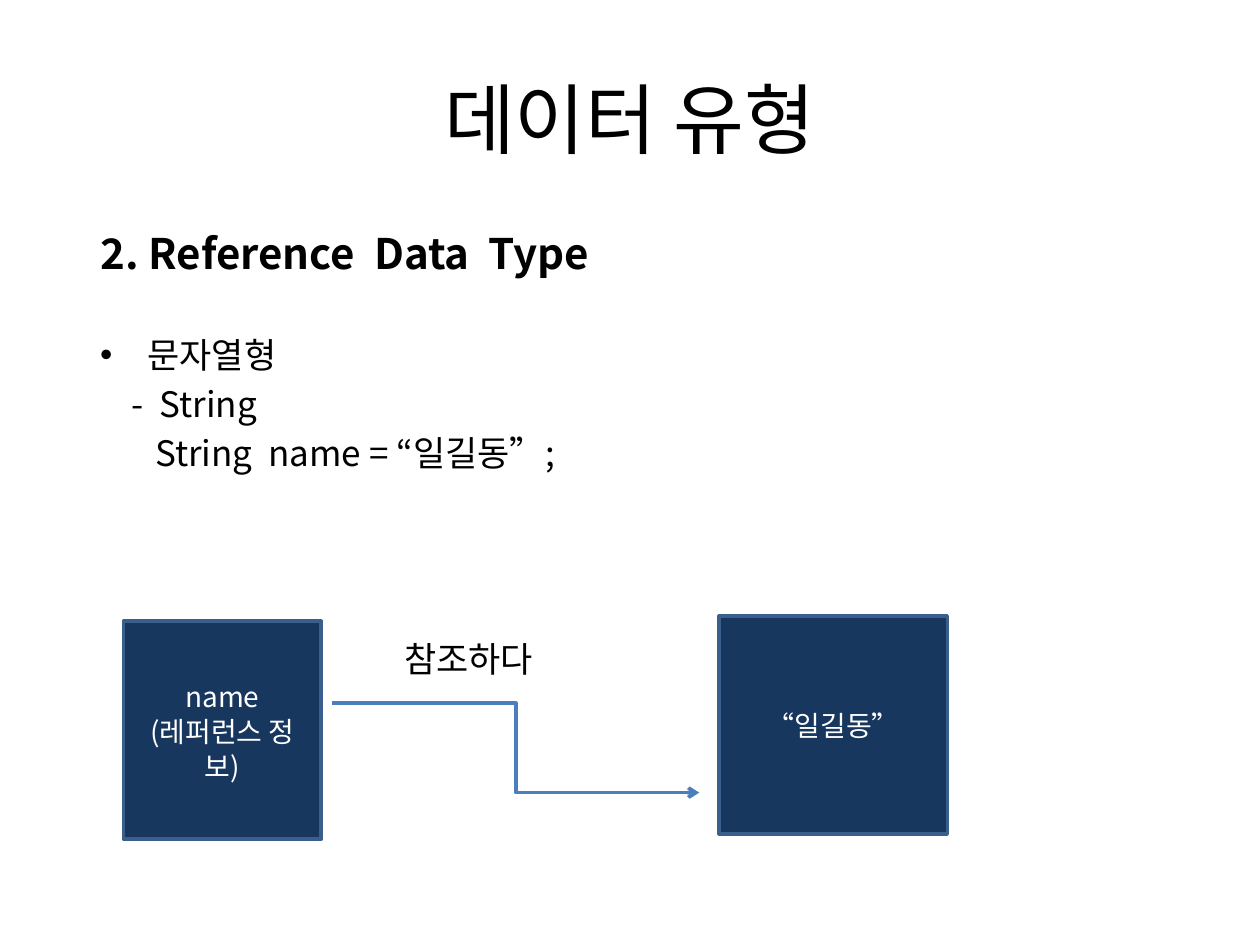
from dataclasses import dataclass

from pptx import Presentation
from pptx.dml.color import RGBColor
from pptx.enum.shapes import MSO_CONNECTOR, MSO_SHAPE
from pptx.enum.text import MSO_ANCHOR, MSO_AUTO_SIZE, PP_ALIGN
from pptx.oxml.ns import qn
from pptx.util import Pt
from lxml import etree

ELBOW = MSO_CONNECTOR.ELBOW
RECTANGLE = MSO_SHAPE.RECTANGLE
MIDDLE, TOP = MSO_ANCHOR.MIDDLE, MSO_ANCHOR.TOP
FIXED, GROW = MSO_AUTO_SIZE.NONE, MSO_AUTO_SIZE.SHAPE_TO_FIT_TEXT
CENTER, LEFT = PP_ALIGN.CENTER, PP_ALIGN.LEFT


@dataclass(frozen=True)
class Theme:
    font: str = "Noto Sans CJK KR"
    text: RGBColor = RGBColor(0x00, 0x00, 0x00)
    light: RGBColor = RGBColor(0xFF, 0xFF, 0xFF)
    box: RGBColor = RGBColor(0x17, 0x37, 0x5E)
    border: RGBColor = RGBColor(0x3A, 0x5F, 0x8C)
    arrow: RGBColor = RGBColor(0x4B, 0x7E, 0xBC)
    title_size: int = 44
    heading_size: int = 24
    body_size: int = 20
    box_size: int = 16
    line_width: int = 2
    leading: float = 1.22


class SlideBuilder:
    def __init__(self, slide, theme):
        self.slide = slide
        self.theme = theme

    def place(self, shape, bounds):
        for name, value in zip(("left", "top", "width", "height"), bounds):
            setattr(shape, name, Pt(value))

    def frame(self, shape, anchor, auto_size=FIXED):
        settings = {"word_wrap": True, "auto_size": auto_size, "vertical_anchor": anchor}
        for name, value in settings.items():
            setattr(shape.text_frame, name, value)
        return shape.text_frame

    def fill_para(self, para, text, size, color, align=LEFT, bold=False, before=0):
        formats = {
            "alignment": align,
            "space_before": Pt(before),
            "space_after": Pt(0),
            "line_spacing": Pt(round(size * self.theme.leading)),
        }
        for name, value in formats.items():
            setattr(para, name, value)
        span = para.add_run()
        span.text = text
        for name, value in {"name": self.theme.font, "size": Pt(size), "bold": bold}.items():
            setattr(span.font, name, value)
        span.font.color.rgb = color
        properties = span._r.get_or_add_rPr()
        etree.SubElement(properties, qn("a:ea"), typeface=self.theme.font)

    def title(self, text, bounds):
        shape = self.slide.shapes.title
        self.place(shape, bounds)
        para = self.frame(shape, MIDDLE).paragraphs[0]
        self.fill_para(para, text, self.theme.title_size, self.theme.text, CENTER)

    def body(self, items, bounds):
        shape = self.slide.placeholders[1]
        self.place(shape, bounds)
        frame = self.frame(shape, TOP)
        for index, item in enumerate(items):
            para = frame.add_paragraph() if index else frame.paragraphs[0]
            para.level = item.get("level", 0)
            properties = para._p.get_or_add_pPr()
            properties.set("marL", str(Pt(item["margin"])))
            properties.set("indent", str(Pt(item.get("indent", 0))))
            if "bullet" in item:
                etree.SubElement(properties, qn("a:buChar"), char=item["bullet"])
            else:
                etree.SubElement(properties, qn("a:buNone"))
            self.fill_para(para, item["text"], item.get("size", self.theme.body_size),
                           self.theme.text, bold=item.get("bold", False),
                           before=item.get("before", 0))

    def box(self, lines, bounds):
        shape = self.slide.shapes.add_shape(RECTANGLE, *map(Pt, bounds))
        shape.shadow.inherit = False
        shape.fill.solid()
        shape.fill.fore_color.rgb = self.theme.box
        shape.line.color.rgb = self.theme.border
        shape.line.width = Pt(self.theme.line_width)
        frame = self.frame(shape, MIDDLE)
        for index, text in enumerate(lines):
            para = frame.add_paragraph() if index else frame.paragraphs[0]
            self.fill_para(para, text, self.theme.box_size, self.theme.light, CENTER)

    def arrow(self, start, end):
        connector = self.slide.shapes.add_connector(ELBOW, *map(Pt, start + end))
        connector.line.color.rgb = self.theme.arrow
        connector.line.width = Pt(self.theme.line_width)
        properties = connector._element.spPr
        etree.SubElement(properties.find(qn("a:ln")), qn("a:tailEnd"), type="arrow")
        etree.SubElement(properties, qn("a:effectLst"))

    def label(self, text, bounds):
        shape = self.slide.shapes.add_textbox(*map(Pt, bounds))
        para = self.frame(shape, TOP, GROW).paragraphs[0]
        self.fill_para(para, text, self.theme.body_size, self.theme.text)


def main():
    theme = Theme()
    deck = Presentation()
    deck.slide_width, deck.slide_height = Pt(720), Pt(540)
    page = SlideBuilder(deck.slides.add_slide(deck.slide_layouts[1]), theme)

    page.title("데이터 유형", (36, 21.6, 648, 90))
    page.body([
        {"text": "2. Reference  Data  Type", "margin": 14.4,
         "size": theme.heading_size, "bold": True},
        {"text": "문자열형", "margin": 41, "indent": -27, "bullet": "•", "before": 32},
        {"text": "-  String", "margin": 32, "before": 4},
        {"text": "String  name = “일길동”;", "margin": 45.4, "level": 1, "before": 4},
    ], (36, 126, 648, 356.4))
    page.box(["name", "(레퍼런스 정보)"], (70.6, 355, 113, 124.6))
    page.box(["“일길동”"], (411, 352, 130.4, 124.6))
    page.arrow((190, 401.8), (399.6, 452.9))
    page.label("참조하다", (223.9, 360.7, 153.4, 31.7))
    deck.save("out.pptx")


if __name__ == "__main__":
    main()
